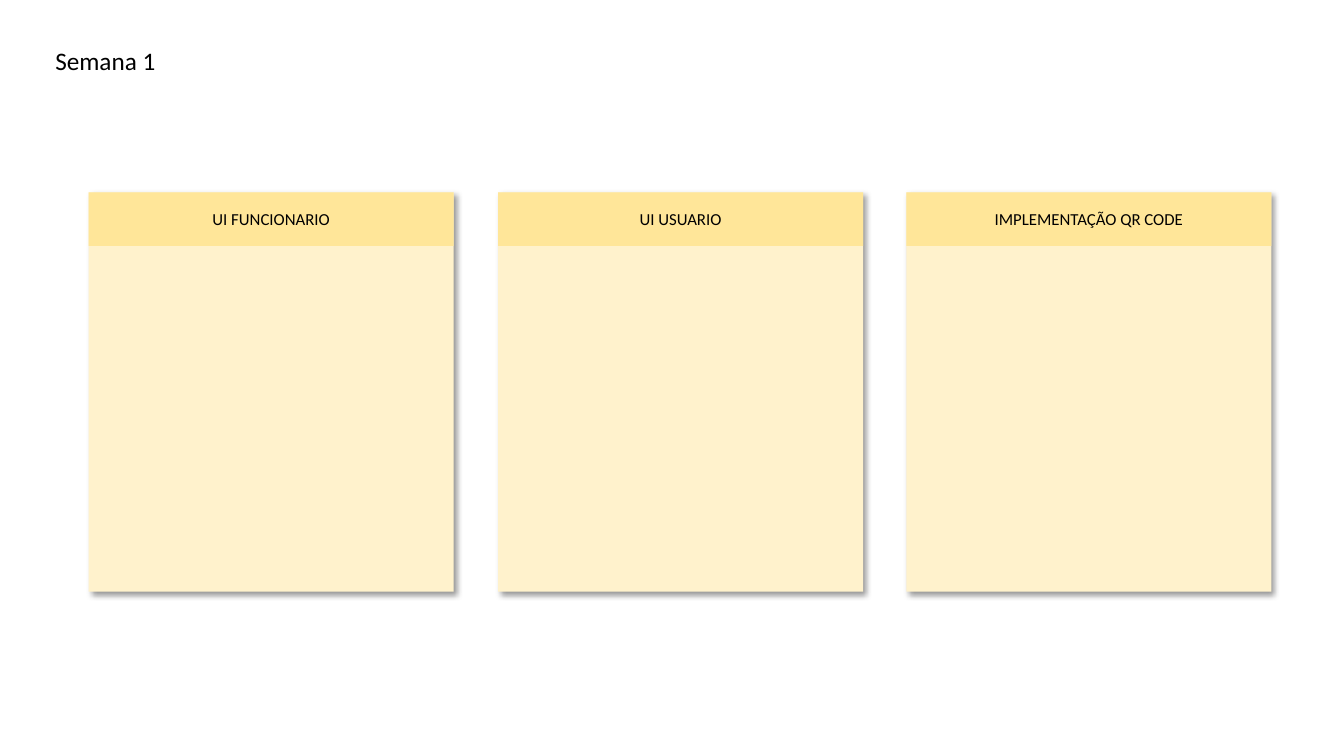
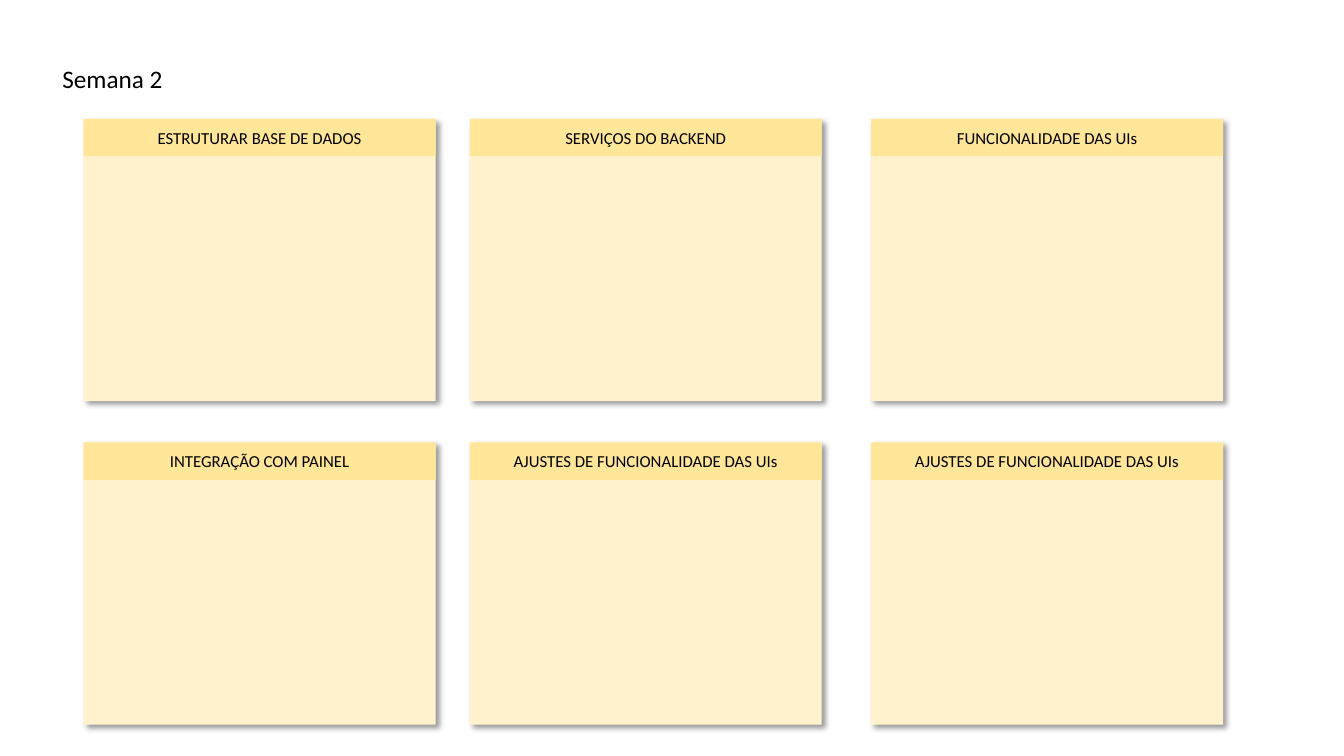
from lxml import etree
from pptx import Presentation
from pptx.dml.color import RGBColor
from pptx.enum.shapes import MSO_SHAPE
from pptx.enum.text import MSO_ANCHOR, MSO_AUTO_SIZE, PP_ALIGN
from pptx.oxml.ns import qn
from pptx.util import Inches, Pt

RECT = MSO_SHAPE.RECTANGLE
MIDDLE = MSO_ANCHOR.MIDDLE
CENTER = PP_ALIGN.CENTER
FIT_SHAPE = MSO_AUTO_SIZE.SHAPE_TO_FIT_TEXT

FONT = "Calibri"
COLORS = {"body": "FFF2CC", "header": "FFE699", "text": "000000", "shadow": "000000"}


def add_run(p, text, size):
    r = p.add_run()
    r.text = text
    r.font.name = FONT
    r.font.size = Pt(size)
    r.font.color.rgb = RGBColor.from_string(COLORS["text"])


def add_rect(s, left, top, width, height, color):
    sp = s.shapes.add_shape(RECT, Inches(left), Inches(top), Inches(width), Inches(height))
    sp.shadow.inherit = False
    sp.fill.solid()
    sp.fill.fore_color.rgb = RGBColor.from_string(COLORS[color])
    sp.line.fill.background()
    return sp


def add_shadow(sp):
    effects = sp._element.spPr.find(qn("a:effectLst"))
    shadow = etree.SubElement(effects, qn("a:outerShdw"), blurRad=str(Pt(4)), dist=str(Pt(3)),
                              dir=str(45 * 60000), algn="tl", rotWithShape="0")
    color = etree.SubElement(shadow, qn("a:srgbClr"), val=COLORS["shadow"])
    etree.SubElement(color, qn("a:alpha"), val="40000")


def add_title(s, left, top, text):
    tf = s.shapes.add_textbox(Inches(left), Inches(top), Inches(1.21), Inches(0.4)).text_frame
    tf.word_wrap = False
    tf.auto_size = FIT_SHAPE
    add_run(tf.paragraphs[0], text, 18)


def add_card(s, left, top, width, height, header_height, text):
    add_shadow(add_rect(s, left, top, width, height, "body"))
    tf = add_rect(s, left, top, width, header_height, "header").text_frame
    tf.word_wrap = True
    tf.vertical_anchor = MIDDLE
    p = tf.paragraphs[0]
    p.alignment = CENTER
    add_run(p, text, 12)


def add_week(prs, title, title_at, lefts, tops, card_size, rows):
    s = prs.slides.add_slide(prs.slide_layouts[6])
    for top, row in zip(tops, rows):
        for left, text in zip(lefts, row):
            add_card(s, left, top, *card_size, text)
    add_title(s, *title_at, title)


prs = Presentation()
prs.slide_width = Inches(13.33)
prs.slide_height = Inches(7.5)

# Week 1: one row of tall cards
add_week(prs, "Semana 1", (0.45, 0.4), (0.88, 4.94, 8.99), (1.91,), (3.62, 3.96, 0.53), [
    ["UI FUNCIONARIO", "UI USUARIO", "IMPLEMENTAÇÃO QR CODE"],
])

# Week 2: two rows of cards
add_week(prs, "Semana 2", (0.52, 0.58), (0.83, 4.66, 8.64), (1.18, 4.39), (3.49, 2.8, 0.37), [
    ["ESTRUTURAR BASE DE DADOS", "SERVIÇOS DO BACKEND", "FUNCIONALIDADE DAS UIs"],
    ["INTEGRAÇÃO COM PAINEL"] + ["AJUSTES DE FUNCIONALIDADE DAS UIs"] * 2,
])

prs.save("out.pptx")
